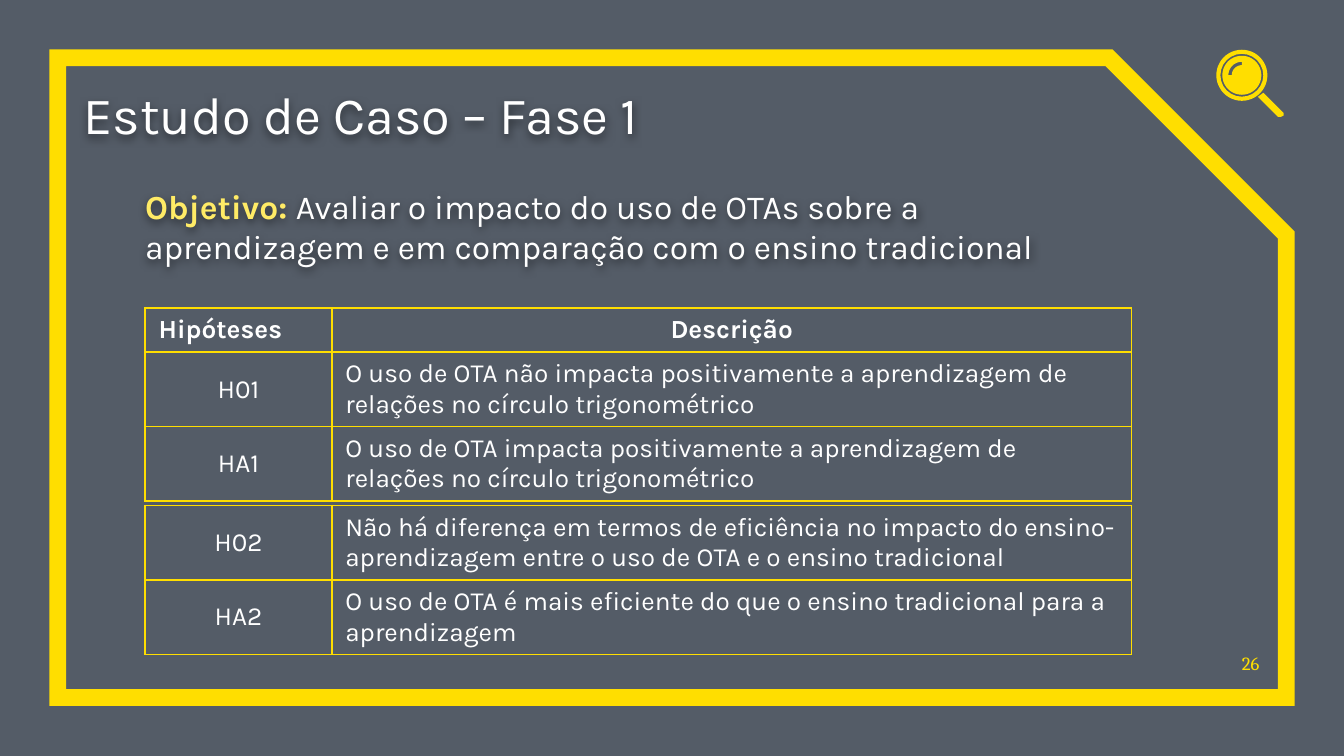
import math
from dataclasses import dataclass

import lxml.etree
import pptx
import pptx.dml.color
import pptx.enum.shapes
import pptx.enum.text
import pptx.oxml
import pptx.oxml.ns
import pptx.util

Inches = pptx.util.Inches
Align = pptx.enum.text.PP_ALIGN
Anchor = pptx.enum.text.MSO_ANCHOR
Preset = pptx.enum.shapes.MSO_SHAPE
qn = pptx.oxml.ns.qn


@dataclass(frozen=True)
class Theme:
    veil: str = "040F20"
    accent: str = "FFDE00"
    highlight: str = "FFEB66"
    text: str = "FFFFFF"
    font: str = "Karla"
    number_font: str = "Cambria"
    title_size: int = 28
    body_size: int = 18
    table_size: int = 14
    number_size: int = 10


THEME = Theme()


def rgb(value):
    return pptx.dml.color.RGBColor.from_string(value)


def add_run(paragraph, text, *, size, color=THEME.text, font=THEME.font, bold=False):
    run = paragraph.add_run()
    run.text = text
    run.font.name, run.font.size, run.font.bold = font, pptx.util.Pt(size), bold
    run.font.color.rgb = rgb(color)


def arc(center, radius, start, end, steps):
    """Points along an arc, with angles in degrees clockwise from the right."""
    angles = [math.radians(start + (end - start) * i / steps) for i in range(steps + 1)]
    return [(center[0] + radius * math.cos(a), center[1] + radius * math.sin(a)) for a in angles]


class SlideBuilder:
    def __init__(self, slide, theme):
        self.slide, self.theme = slide, theme

    def fill(self, shape, color):
        shape.shadow.inherit = False
        shape.fill.solid()
        shape.fill.fore_color.rgb = rgb(color)
        shape.line.fill.background()

    def preset(self, kind, left, top, width, height, color):
        shape = self.slide.shapes.add_shape(
            kind, Inches(left), Inches(top), Inches(width), Inches(height))
        self.fill(shape, color)
        return shape

    def veil(self, width, height, opacity):
        shape = self.preset(Preset.RECTANGLE, 0, 0, width, height, self.theme.veil)
        color = shape.fill.fore_color._xFill.find(qn("a:srgbClr"))
        lxml.etree.SubElement(color, qn("a:alpha"), val=str(opacity * 1000))

    def frame(self, left, top, width, height, snip):
        shape = self.preset(Preset.SNIP_1_RECTANGLE, left, top, width, height, self.theme.accent)
        shape.adjustments[0] = snip
        shape.fill.background()
        shape.line.color.rgb = rgb(self.theme.accent)
        shape.line.width = pptx.util.Pt(9)
        line = shape._element.spPr.find(qn("a:ln"))
        lxml.etree.SubElement(line, qn("a:miter"), lim="800000")

    def outline(self, *contours):
        """Filled freeform; each contour after the first cuts a hole."""
        scaled = [[(Inches(x), Inches(y)) for x, y in points] for points in contours]
        builder = self.slide.shapes.build_freeform(*scaled[0][0], scale=1.0)
        builder.add_line_segments(scaled[0][1:], close=True)
        for points in scaled[1:]:
            builder.move_to(*points[0])
            builder.add_line_segments(points[1:], close=True)
        self.fill(builder.convert_to_shape(), self.theme.accent)

    def magnifier(self, x, y):
        center = (x, y)
        rim = 0.19
        ring = self.preset(Preset.DONUT, x - rim, y - rim, 2 * rim, 2 * rim, self.theme.accent)
        ring.adjustments[0] = 0.08
        gleam = arc(center, 0.1, 180, 270, 12) + arc(center, 0.075, 270, 180, 12)
        self.outline(arc(center, 0.145, 0, 360, 60), gleam)
        self.outline([(9.4, 0.69), (9.36, 0.72), (9.51, 0.87), (9.53, 0.87),
                      (9.55, 0.86), (9.55, 0.84)])

    def text(self, left, top, width, height, runs, align=Align.LEFT, shadow=False):
        shape = self.slide.shapes.add_textbox(
            Inches(left), Inches(top), Inches(width), Inches(height))
        frame = shape.text_frame
        frame.word_wrap = True
        frame.vertical_anchor = Anchor.BOTTOM
        frame.margin_left = frame.margin_right = frame.margin_top = frame.margin_bottom = 0
        paragraph = frame.paragraphs[0]
        paragraph.alignment = align
        for content, style in runs:
            add_run(paragraph, content, **style)
        if shadow:
            self.text_shadow(shape)

    def text_shadow(self, shape):
        shape._element.spPr.append(pptx.oxml.parse_xml(
            f'<a:effectLst {pptx.oxml.ns.nsdecls("a")}>'
            '<a:outerShdw blurRad="57150" dist="19050" dir="5400000" algn="bl">'
            '<a:srgbClr val="000000"><a:alpha val="50000"/></a:srgbClr>'
            '</a:outerShdw></a:effectLst>'))

    def table(self, left, top, columns, heights, rows, header=False):
        table = self.slide.shapes.add_table(
            len(rows), len(columns), Inches(left), Inches(top),
            Inches(sum(columns)), Inches(sum(heights))).table
        table.first_row = table.horz_banding = False
        for column, width in zip(table.columns, columns):
            column.width = Inches(width)
        for i, (row, height) in enumerate(zip(rows, heights)):
            table.rows[i].height = Inches(height)
            is_header = header and i == 0
            for j, content in enumerate(row):
                cell = table.cell(i, j)
                self.cell_borders(cell)
                cell.fill.background()
                cell.vertical_anchor = Anchor.MIDDLE
                cell.margin_top = cell.margin_bottom = Inches(0.04)
                paragraph = cell.text_frame.paragraphs[0]
                # The header centres its second column, the body its first
                paragraph.alignment = Align.CENTER if is_header == (j == 1) else Align.LEFT
                add_run(paragraph, content, size=self.theme.table_size, bold=is_header)

    def cell_borders(self, cell):
        properties = cell._tc.get_or_add_tcPr()
        for side in ("lnL", "lnR", "lnT", "lnB"):
            line = lxml.etree.SubElement(properties, qn(f"a:{side}"), w=str(pptx.util.Pt(1)))
            solid = lxml.etree.SubElement(line, qn("a:solidFill"))
            lxml.etree.SubElement(solid, qn("a:srgbClr"), val=self.theme.accent)


def main():
    width = 10
    height = width * 9 / 16
    presentation = pptx.Presentation()
    presentation.slide_width, presentation.slide_height = Inches(width), Inches(height)
    slide = presentation.slides.add_slide(presentation.slide_layouts[6])
    builder = SlideBuilder(slide, THEME)

    builder.veil(width, height, opacity=68)
    builder.frame(0.43, 0.43, 9.14, 4.76, snip=0.277)
    builder.text(9.1, 4.74, 0.27, 0.28, [("26", dict(
        size=THEME.number_size, color=THEME.accent, font=THEME.number_font))], align=Align.RIGHT)
    builder.text(0.62, 0.55, 7.35, 0.53,
                 [("Estudo de Caso – Fase 1", dict(size=THEME.title_size))], shadow=True)
    builder.magnifier(9.24, 0.56)
    builder.text(1.08, 1.3, 7.4, 0.68, [
        ("Objetivo: ", dict(size=THEME.body_size, color=THEME.highlight, bold=True)),
        ("Avaliar o impacto do uso de OTAs sobre a aprendizagem e em comparação "
         "com o ensino tradicional", dict(size=THEME.body_size)),
    ], shadow=True)

    columns = (1.39, 5.95)
    body_row = 0.555
    builder.table(1.08, 2.29, columns, (0.33, body_row, body_row), [
        ("Hipóteses", "Descrição"),
        ("H01", "O uso de OTA não impacta positivamente a aprendizagem de relações "
                "no círculo trigonométrico"),
        ("HA1", "O uso de OTA impacta positivamente a aprendizagem de relações "
                "no círculo trigonométrico"),
    ], header=True)
    builder.table(1.08, 3.76, columns, (body_row, body_row), [
        ("H02", "Não há diferença em termos de eficiência no impacto do ensino-aprendizagem "
                "entre o uso de OTA e o ensino tradicional"),
        ("HA2", "O uso de OTA é mais eficiente do que o ensino tradicional para a aprendizagem"),
    ])
    presentation.save("out.pptx")


if __name__ == "__main__":
    main()
